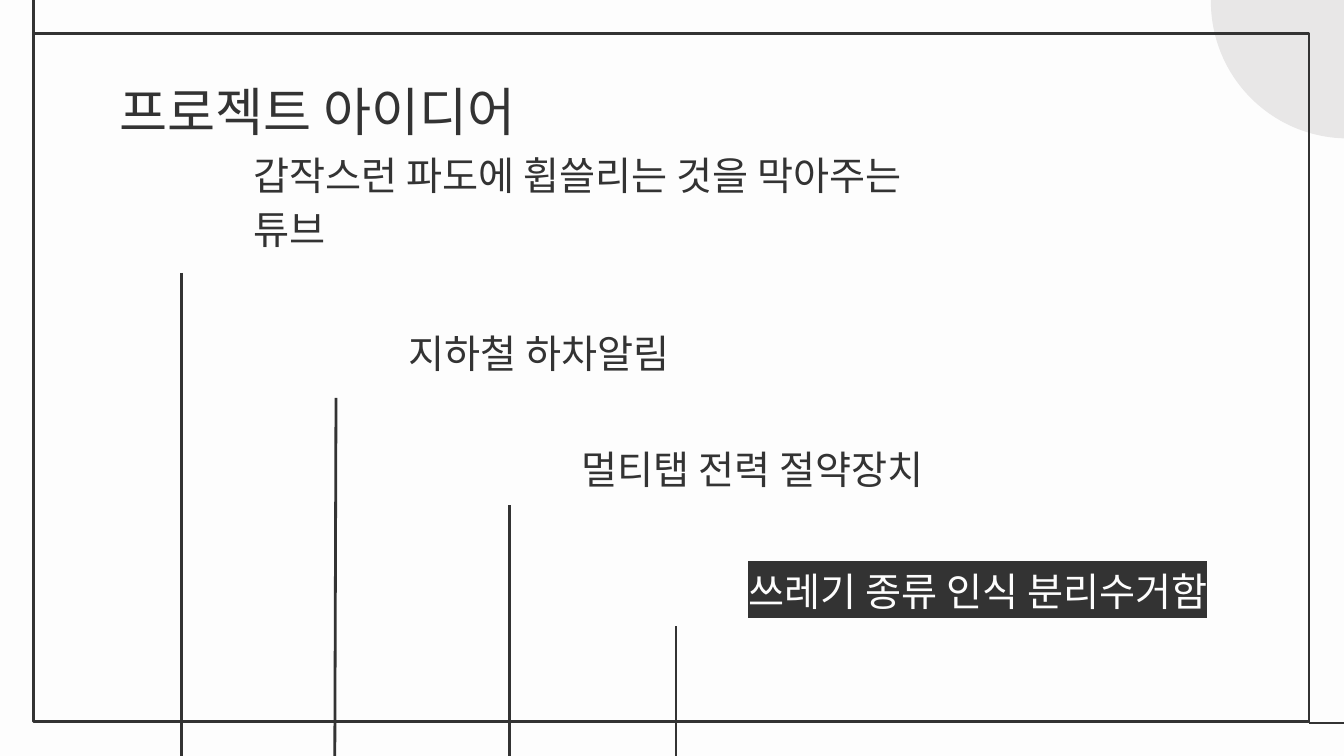
from lxml.etree import SubElement
from pptx import Presentation
from pptx.dml.color import RGBColor
from pptx.enum.shapes import MSO_CONNECTOR, MSO_SHAPE
from pptx.enum.text import MSO_ANCHOR, PP_ALIGN
from pptx.oxml.ns import qn
from pptx.util import Inches, Pt

COLORS = {"ink": "333333", "paper": "FDFDFD", "circle": "E8E7E7"}
FONT = "Calibri"
IDEAS = [
    ("갑작스런 파도에 휩쓸리는 것을 막아주는 튜브", 1.79, 1.51, False),
    ("지하철 하차알림", 2.94, 2.43, False),
    ("멀티탭 전력 절약장치", 4.23, 3.29, False),
    ("쓰레기 종류 인식 분리수거함", 5.47, 4.2, True),
]
STEMS = [
    (1.35, 2.03, 1.35, 5.79),
    (2.5, 2.96, 2.49, 6.02),
    (3.79, 3.76, 3.79, 6.81),
    (5.03, 4.66, 5.03, 7.72),
]
FRAME_TAILS = [(0.25, 0.26, 0.25, -0.07), (9.74, 5.38, 10.17, 5.38)]


def color(name):
    """Return the named palette colour."""
    return RGBColor.from_string(COLORS[name])


def add_outline(page, kind, left, top, width, height, fill=None):
    """Add a shape that is either filled or outlined in ink."""
    shape = page.shapes.add_shape(
        kind, Inches(left), Inches(top), Inches(width), Inches(height))
    shape.shadow.inherit = False
    if fill:
        shape.fill.solid()
        shape.fill.fore_color.rgb = color(fill)
        shape.line.fill.background()
    else:
        shape.fill.background()
        shape.line.color.rgb = color("ink")
        shape.line.width = Pt(1.5)


def add_line(page, *ends):
    """Add a straight ink line between two points."""
    line = page.shapes.add_connector(
        MSO_CONNECTOR.STRAIGHT, *[Inches(value) for value in ends])
    line.line.color.rgb = color("ink")
    line.line.width = Pt(1.5)
    SubElement(line._element.spPr, qn("a:effectLst"))


def write_text(box, text, size, anchor, ink="ink"):
    """Write one left-aligned run into a box and return the run."""
    frame = box.text_frame
    frame.word_wrap = True
    frame.vertical_anchor = anchor
    frame.margin_left = frame.margin_right = Inches(0.1)
    frame.margin_top = frame.margin_bottom = Inches(0.1)
    para = frame.paragraphs[0]
    para.alignment = PP_ALIGN.LEFT
    span = para.add_run()
    span.text = text
    span.font.size = Pt(size)
    span.font.name = FONT
    span.font.color.rgb = color(ink)
    return span


def add_title(page, text):
    """Place and fill the title placeholder."""
    title = page.shapes.title
    title.left, title.top = Inches(0.79), Inches(0.49)
    title.width, title.height = Inches(8.43), Inches(0.63)
    write_text(title, text, 28, MSO_ANCHOR.TOP)
    title.text_frame.paragraphs[0].line_spacing = 1.0


def add_idea(page, text, left, top, chosen):
    """Add an idea label, highlighted when it is the chosen one."""
    box = page.shapes.add_textbox(
        Inches(left), Inches(top), Inches(5.33), Inches(0.47))
    span = write_text(
        box, text, 21, MSO_ANCHOR.BOTTOM, "paper" if chosen else "ink")
    box.text_frame.paragraphs[0].line_spacing = 1.15
    if chosen:
        properties = span.font._element
        highlight = SubElement(properties, qn("a:highlight"))
        SubElement(highlight, qn("a:srgbClr"), val=COLORS["ink"])
        properties.find(qn("a:solidFill")).addnext(highlight)


def main():
    """Build the project ideas slide."""
    deck = Presentation()
    deck.slide_width = Inches(10)
    deck.slide_height = deck.slide_width * 9 // 16
    page = deck.slides.add_slide(deck.slide_layouts[5])
    page.background.fill.solid()
    page.background.fill.fore_color.rgb = color("paper")
    add_outline(page, MSO_SHAPE.OVAL, 9.01, -1.01, 2.04, 2.04, "circle")
    add_outline(page, MSO_SHAPE.RECTANGLE, 0.25, 0.25, 9.49, 5.12)
    add_title(page, "프로젝트 아이디어")
    for ends in FRAME_TAILS + STEMS:
        add_line(page, *ends)
    for idea in IDEAS:
        add_idea(page, *idea)
    deck.save("out.pptx")


if __name__ == "__main__":
    main()
